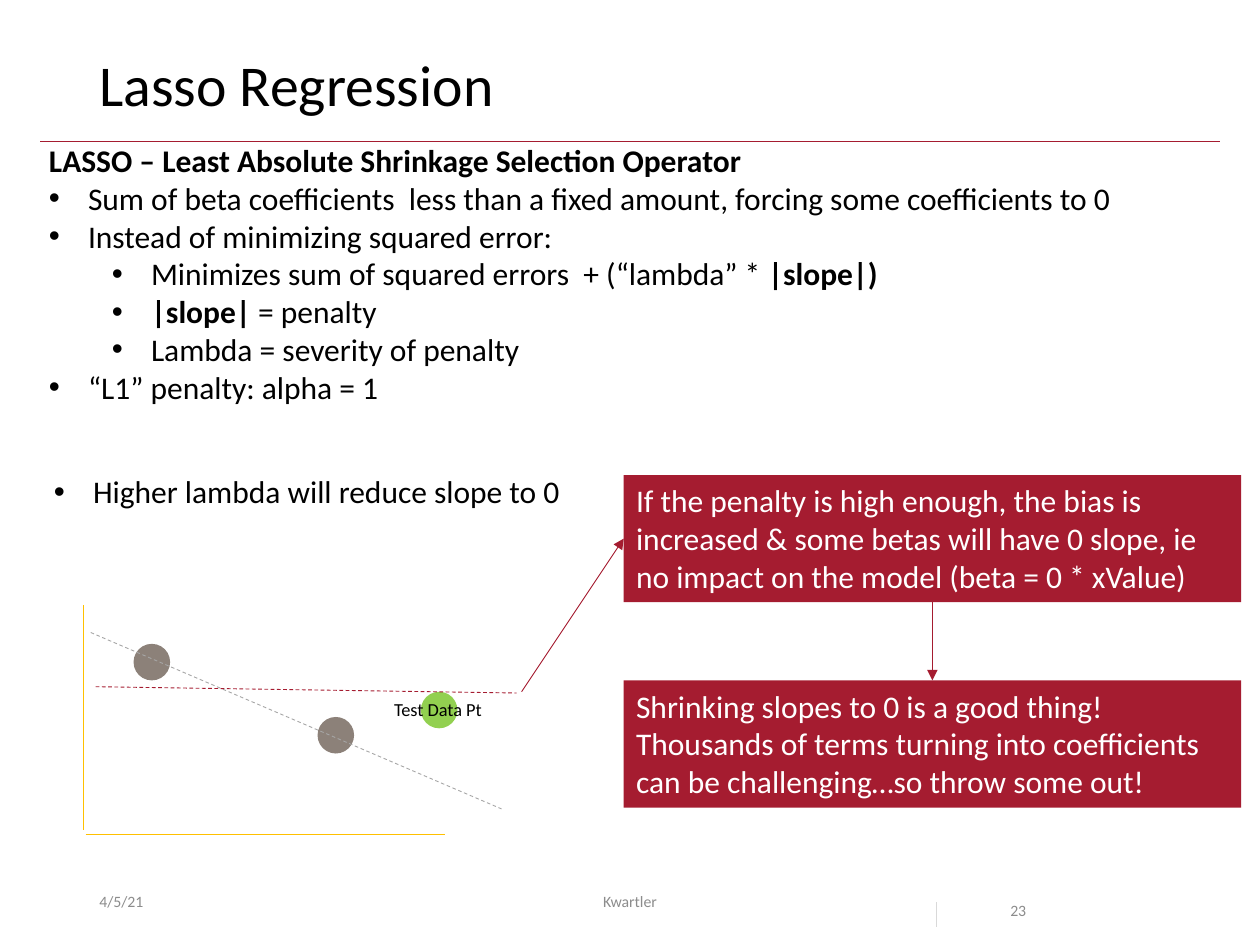
from lxml.etree import SubElement
from pptx import Presentation
from pptx.dml.color import RGBColor
from pptx.enum.dml import MSO_LINE
from pptx.enum.shapes import MSO_CONNECTOR, MSO_SHAPE
from pptx.enum.text import MSO_ANCHOR, PP_ALIGN
from pptx.oxml.ns import qn
from pptx.util import Inches, Pt

BLACK = RGBColor(0x00, 0x00, 0x00)
WHITE = RGBColor(0xFF, 0xFF, 0xFF)
CRIMSON = RGBColor(0xA5, 0x1C, 0x30)
GOLD = RGBColor(0xFF, 0xC0, 0x00)
TAUPE = RGBColor(0x8C, 0x81, 0x79)
GREEN = RGBColor(0x92, 0xD0, 0x50)
FOOTER_GRAY = RGBColor(0x8C, 0x8C, 0x8C)
DASH_GRAY = RGBColor(0xA6, 0xA6, 0xA6)
PALE_GRAY = RGBColor(0xD9, 0xD9, 0xD9)

presentation = Presentation()
presentation.slide_width = Inches(10)
presentation.slide_height = Inches(7.5)
slide = presentation.slides.add_slide(presentation.slide_layouts[6])


def add_text(text, left, top, width, height, size=18, color=BLACK, fill=None, wrap=True,
             anchor=MSO_ANCHOR.TOP, align=PP_ALIGN.LEFT, spacing=None):
    """Add a text box, or a rectangle if fill is given.

    text is a string or a list of (level, runs): level None has no bullet,
    and runs are (words, bold) pairs.
    """
    box = [Inches(length) for length in (left, top, width, height)]
    if fill is None:
        shape = slide.shapes.add_textbox(*box)
    else:
        shape = slide.shapes.add_shape(MSO_SHAPE.RECTANGLE, *box)
        shape.shadow.inherit = False
        shape.fill.solid()
        shape.fill.fore_color.rgb = fill
        shape.line.fill.background()
    frame = shape.text_frame
    frame.word_wrap = wrap
    frame.vertical_anchor = anchor
    paragraphs = [(None, [(text, False)])] if isinstance(text, str) else text
    for index, (level, runs) in enumerate(paragraphs):
        paragraph = frame.paragraphs[0] if index == 0 else frame.add_paragraph()
        paragraph.alignment = align
        if spacing:
            paragraph.line_spacing = spacing
        if level is not None:
            paragraph.level = level
            properties = paragraph._p.get_or_add_pPr()
            properties.set("marL", str(Inches(0.31 + 0.5 * level)))
            properties.set("indent", str(Inches(-0.31)))
            SubElement(properties, qn("a:buFont"), typeface="Arial")
            SubElement(properties, qn("a:buChar"), char="•")
        for words, bold in runs:
            run = paragraph.add_run()
            run.text = words
            run.font.name = "Calibri"
            run.font.size = Pt(size)
            run.font.bold = bold
            run.font.color.rgb = color
    return shape


def add_line(start, end, color, dashed=False, arrow=False):
    connector = slide.shapes.add_connector(
        MSO_CONNECTOR.STRAIGHT, *[Inches(length) for length in (*start, *end)])
    connector.line.color.rgb = color
    connector.line.width = Pt(0.5)
    if dashed:
        connector.line.dash_style = MSO_LINE.DASH
    if arrow:
        SubElement(connector.line._get_or_add_ln(), qn("a:tailEnd"), type="triangle")
    SubElement(connector._element.spPr, qn("a:effectLst"))
    return connector


# Title and footer
add_line((0.32, 1.12), (9.68, 1.12), CRIMSON)
add_text("Lasso Regression", 0.69, 0.4, 8.62, 0.65, size=33, spacing=0.9)
add_text("4/5/21", 0.69, 6.95, 2.25, 0.4, size=9, color=FOOTER_GRAY, anchor=MSO_ANCHOR.MIDDLE)
add_text("Kwartler", 3.31, 6.95, 3.38, 0.4, size=9, color=FOOTER_GRAY,
         anchor=MSO_ANCHOR.MIDDLE, align=PP_ALIGN.CENTER)
add_text("23", 7.92, 6.95, 0.94, 0.4, size=9, color=FOOTER_GRAY, spacing=2.0)
add_line((7.43, 7.16), (7.43, 7.36), PALE_GRAY)

# Explanation
add_text([
    (None, [("LASSO – Least Absolute Shrinkage Selection Operator", True)]),
    (0, [("Sum of beta coefficients  less than a fixed amount, "
          "forcing some coefficients to 0", False)]),
    (0, [("Instead of minimizing squared error:", False)]),
    (1, [("Minimizes sum of squared errors  + (“lambda” * ", False), ("|slope|)", True)]),
    (1, [("|slope| ", True), ("= penalty", False)]),
    (1, [("Lambda = severity of penalty", False)]),
    (0, [("“L1” penalty: alpha = 1", False)]),
], 0.29, 1.07, 8.75, 2.22, wrap=False)
add_text([(0, [("Higher lambda will reduce slope to 0", False)])], 0.33, 3.7, 4.29, 0.4)

# Sketch of the two fitted lines
add_line((0.66, 4.8), (0.66, 6.59), GOLD)
add_line((0.68, 6.62), (3.53, 6.62), GOLD)
for left, top, color in [(1.06, 5.11, TAUPE), (2.52, 5.69, TAUPE), (3.34, 5.49, GREEN)]:
    point = slide.shapes.add_shape(
        MSO_SHAPE.OVAL, Inches(left), Inches(top), Inches(0.29), Inches(0.29))
    point.shadow.inherit = False
    point.fill.solid()
    point.fill.fore_color.rgb = color
    point.line.fill.background()
add_line((0.72, 5.02), (3.98, 6.42), DASH_GRAY, dashed=True)
add_text("Test Data Pt", 3.03, 5.49, 0.93, 0.28, size=10.5, wrap=False)
add_line((0.76, 5.45), (4.1, 5.5), CRIMSON, dashed=True)

# Consequences
penalty_box = add_text(
    "If the penalty is high enough, the bias is increased & some betas will have 0 slope, "
    "ie no impact on the model (beta = 0 * xValue)",
    4.95, 3.77, 4.9, 1.01, color=WHITE, fill=CRIMSON, anchor=MSO_ANCHOR.TOP)
shrinking_box = add_text(
    "Shrinking slopes to 0 is a good thing!  Thousands of terms turning into coefficients "
    "can be challenging…so throw some out!",
    4.95, 5.4, 4.9, 1.01, color=WHITE, fill=CRIMSON)
slope_arrow = add_line((4.14, 5.49), (4.95, 4.27), CRIMSON, arrow=True)
slope_arrow.end_connect(penalty_box, 1)
result_arrow = add_line((7.4, 4.78), (7.4, 5.4), CRIMSON, arrow=True)
result_arrow.begin_connect(penalty_box, 2)
result_arrow.end_connect(shrinking_box, 0)

presentation.save("out.pptx")
